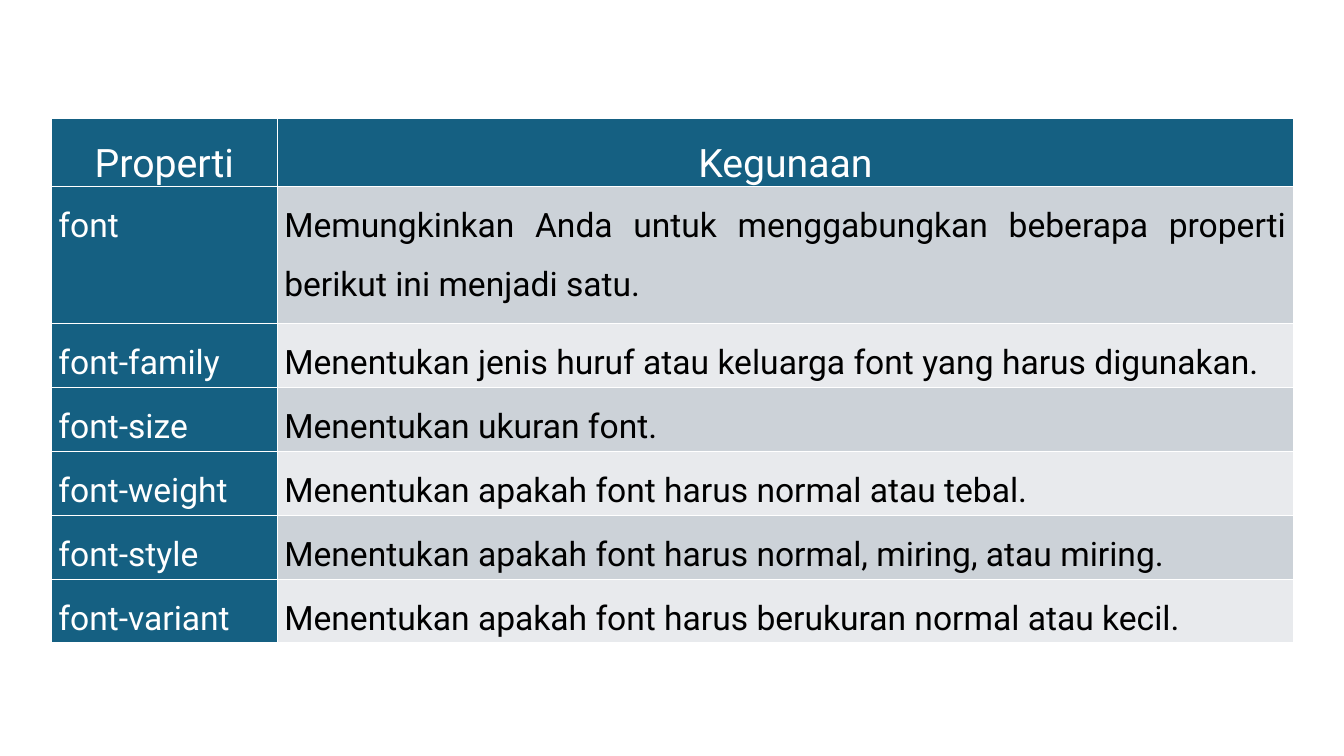
from dataclasses import dataclass

from lxml.etree import SubElement
from pptx import Presentation
from pptx.dml.color import RGBColor as RGB
from pptx.enum.text import PP_ALIGN as Align
from pptx.oxml.ns import qn
from pptx.util import Inches, Pt


@dataclass(frozen=True)
class Theme:
    font: str = "Roboto"
    head: int = 28
    body: int = 24
    blue: str = "156082"
    white: str = "FFFFFF"
    black: str = "000000"
    bands: tuple = ("CCD2D8", "E8EAED")


THEME = Theme()

HEADS = ("Properti", "Kegunaan")
ROWS = [
    ("font", "Memungkinkan Anda untuk menggabungkan beberapa properti "
             "berikut ini menjadi satu."),
    ("font-family", "Menentukan jenis huruf atau keluarga font yang harus digunakan."),
    ("font-size", "Menentukan ukuran font."),
    ("font-weight", "Menentukan apakah font harus normal atau tebal."),
    ("font-style", "Menentukan apakah font harus normal, miring, atau miring."),
    ("font-variant", "Menentukan apakah font harus berukuran normal atau kecil."),
]


def add_borders(cell, color, width=1):
    props = cell._tc.get_or_add_tcPr()
    for side in ("lnL", "lnR", "lnT", "lnB"):
        line = SubElement(props, qn(f"a:{side}"), w=str(Pt(width)))
        fill = SubElement(line, qn("a:solidFill"))
        SubElement(fill, qn("a:srgbClr"), val=color)


def fill_cell(cell, text, fill, color, size, align):
    add_borders(cell, THEME.white)
    cell.fill.solid()
    cell.fill.fore_color.rgb = RGB.from_string(fill)
    cell.margin_left = cell.margin_right = Inches(0.07)
    cell.margin_top = cell.margin_bottom = 0
    cell.text = text
    para = cell.text_frame.paragraphs[0]
    para.alignment = align
    para.line_spacing = 1.5
    para.font.name = THEME.font
    para.font.size = Pt(size)
    para.font.bold = False
    para.font.color.rgb = RGB.from_string(color)


def add_grid(slide, left, top, width, height):
    """Place the property table; the first body row is tall for two lines."""
    count = len(ROWS) + 1
    table = slide.shapes.add_table(
        count, 2, Inches(left), Inches(top), Inches(width), Inches(height)).table
    first, tall = 2.24, 1.36
    table.columns[0].width = Inches(first)
    table.columns[1].width = Inches(width - first)
    for row in table.rows:
        row.height = Inches((height - tall) / (count - 1))
    table.rows[1].height = Inches(tall)

    for col, head in enumerate(HEADS):
        fill_cell(table.cell(0, col), head, THEME.blue, THEME.white,
                  THEME.head, Align.CENTER)
    for row, (name, usage) in enumerate(ROWS, 1):
        band = THEME.bands[(row - 1) % 2]
        fill_cell(table.cell(row, 0), name, THEME.blue, THEME.white,
                  THEME.body, Align.JUSTIFY)
        fill_cell(table.cell(row, 1), usage, band, THEME.black,
                  THEME.body, Align.JUSTIFY)


def main():
    deck = Presentation()
    deck.slide_width, deck.slide_height = Inches(13.33), Inches(7.5)
    slide = deck.slides.add_slide(deck.slide_layouts[6])
    add_grid(slide, 0.51, 1.17, 12.32, 5.16)
    deck.save("out.pptx")


if __name__ == "__main__":
    main()
